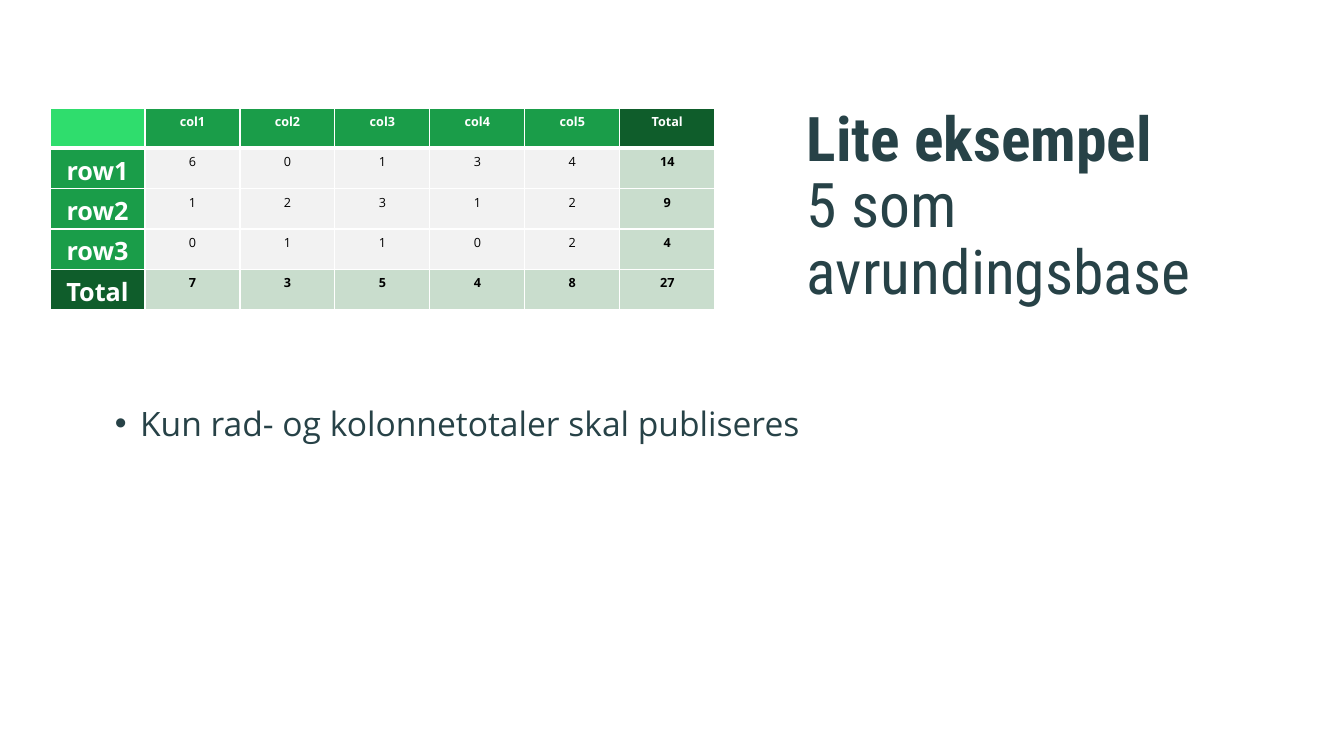
"""Build a slide with a small frequency table, a title and one bullet."""
from lxml.etree import SubElement as Sub
from pptx import Presentation
from pptx.dml.color import RGBColor as Rgb
from pptx.enum.text import MSO_ANCHOR as Anchor, PP_ALIGN as Align
from pptx.oxml.ns import qn
from pptx.util import Pt

TITLE = [("Lite eksempel", True), ("5 som avrundingsbase", False)]
POINT = "Kun rad- og kolonnetotaler skal publiseres"
GRID = [
    ("", "col1", "col2", "col3", "col4", "col5", "Total"),
    ("row1", 6, 0, 1, 3, 4, 14),
    ("row2", 1, 2, 3, 1, 2, 9),
    ("row3", 0, 1, 1, 0, 2, 4),
    ("Total", 7, 3, 5, 4, 8, 27),
]

PX = 914400 / 100.8
INK = Rgb(0x27, 0x42, 0x47)
WHITE = Rgb(0xFF, 0xFF, 0xFF)
BLACK = Rgb(0x00, 0x00, 0x00)
LIME = Rgb(0x2F, 0xDD, 0x6D)
GREEN = Rgb(0x1A, 0x9D, 0x49)
DARK = Rgb(0x0F, 0x5D, 0x2B)
PALE = Rgb(0xC9, 0xDD, 0xCD)
GREY = Rgb(0xF2, 0xF2, 0xF2)
SANS = "Open Sans"
HEAD = "Roboto Condensed"


def px(*sizes):
    return [round(size * PX) for size in sizes]


def write(frame, runs, size, color, font=SANS, align=Align.LEFT, space=None, after=0):
    para = frame.paragraphs[0]
    para.alignment = align
    para.line_spacing = space
    para.space_after = Pt(after)
    for i, (text, bold) in enumerate(runs):
        if i:
            para.add_line_break()
        run = para.add_run()
        run.text = text
        run.font.size = Pt(size)
        run.font.name = font
        run.font.bold = bold
        run.font.color.rgb = color
    return para


def add_box(slide, *place):
    frame = slide.shapes.add_textbox(*px(*place)).text_frame
    frame.word_wrap = True
    return frame


def add_edge(cell, side, width):
    line = Sub(cell._tc.get_or_add_tcPr(), qn("a:ln" + side), w=str(Pt(width)))
    Sub(Sub(line, qn("a:solidFill")), qn("a:srgbClr"), val=str(WHITE))


def pick_fill(row, col):
    total = row == len(GRID) - 1 or col == len(GRID[0]) - 1
    if row == col == 0:
        return LIME
    if row == 0 or col == 0:
        return DARK if total else GREEN
    return PALE if total else GREY


def add_grid(slide):
    rows, cols = len(GRID), len(GRID[0])
    place = px(50, 108, 95 * cols, 38 * rows)
    table = slide.shapes.add_table(rows, cols, *place).table
    table.first_row = table.horz_banding = False
    for r, values in enumerate(GRID):
        for c, value in enumerate(values):
            cell = table.cell(r, c)
            for side in "LRTB":
                thick = (r, side) in ((0, "B"), (1, "T"))
                add_edge(cell, side, 3 if thick else 1)
            fill = pick_fill(r, c)
            cell.fill.solid()
            cell.fill.fore_color.rgb = fill
            label = r == 0 or c == 0
            write(cell.text_frame, [(str(value), label or fill == PALE)],
                  size=18 if r and c == 0 else 9,
                  color=WHITE if label else BLACK, align=Align.CENTER)


def add_title(slide):
    frame = add_box(slide, 797, 43, 459, 335)
    frame.vertical_anchor = Anchor.MIDDLE
    frame.margin_top = 0
    write(frame, TITLE, 44, INK, font=HEAD, space=0.9)


def add_point(slide):
    frame = add_box(slide, 105, 398, 1188, 246)
    props = frame.paragraphs[0]._p.get_or_add_pPr()
    props.set("marL", "228600")
    props.set("indent", "-228600")
    Sub(props, qn("a:buFont"), typeface="Arial")
    Sub(props, qn("a:buChar"), char="•")
    write(frame, [(POINT, False)], 24, INK, after=9)


def main():
    deck = Presentation()
    deck.slide_width, deck.slide_height = px(1344, 756)
    slide = deck.slides.add_slide(deck.slide_layouts[6])
    add_title(slide)
    add_grid(slide)
    add_point(slide)
    deck.save("out.pptx")


if __name__ == "__main__":
    main()
